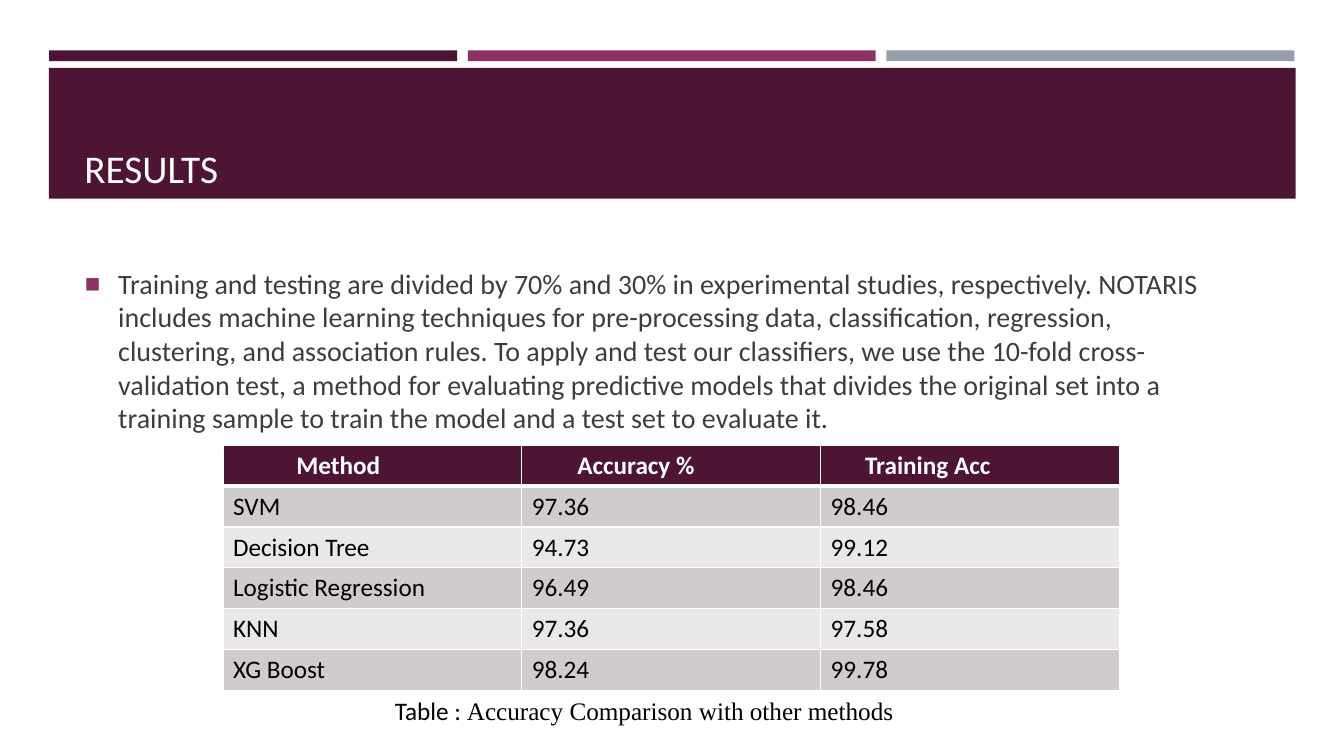
from lxml import etree
from pptx import Presentation, util as u
from pptx.dml.color import RGBColor
from pptx.enum import shapes, text
from pptx.oxml.ns import qn

COLORS = {
    "plum": "4D1434", "magenta": "903163", "gray": "969FA7",
    "white": "FFFFFF", "black": "000000", "body": "3D3D3D",
    "row_dark": "D0CCCE", "row_light": "E9E7E8",
}
BODY = (
    "Training and testing are divided by 70% and 30% in experimental studies, "
    "respectively. NOTARIS includes machine learning techniques for pre-processing "
    "data, classification, regression, clustering, and association rules. To apply "
    "and test our classifiers, we use the 10-fold cross-validation test, a method for "
    "evaluating predictive models that divides the original set into a training "
    "sample to train the model and a test set to evaluate it."
)
RESULTS = [
    ("Method", "Accuracy %", "Training Acc"),
    ("SVM", "97.36", "98.46"),
    ("Decision Tree", "94.73", "99.12"),
    ("Logistic Regression", "96.49", "98.46"),
    ("KNN", "97.36", "97.58"),
    ("XG Boost", "98.24", "99.78"),
]
HEADER_INDENTS = (1.85, 1.4, 1.12)
COL_WIDTH, ROW_HEIGHT = 7.53, 1.03


def rgb(name):
    return RGBColor.from_string(COLORS[name])


def box(*lengths):
    return [u.Cm(n) for n in lengths]


def add_run(p, content, color, **formats):
    r = p.add_run()
    r.text = content
    r.font.color.rgb = rgb(color)
    for name, value in {"name": "Calibri", "size": u.Pt(18), **formats}.items():
        setattr(r.font, name, value)


def add_bar(slide, color, *at):
    sp = slide.shapes.add_shape(shapes.MSO_SHAPE.RECTANGLE, *box(*at))
    sp.shadow.inherit = False
    sp.fill.solid()
    sp.fill.fore_color.rgb = rgb(color)
    sp.line.fill.background()


def add_text(slide, at, anchor=text.MSO_ANCHOR.TOP):
    tf = slide.shapes.add_textbox(*box(*at)).text_frame
    tf.word_wrap = True
    tf.vertical_anchor = anchor
    return tf.paragraphs[0]


def add_bullet(p, color):
    pPr = p._p.get_or_add_pPr()
    pPr.set("marL", str(u.Cm(0.84)))
    pPr.set("indent", str(u.Cm(-0.84)))
    bu_clr = etree.SubElement(pPr, qn("a:buClr"))
    etree.SubElement(bu_clr, qn("a:srgbClr"), val=COLORS[color])
    etree.SubElement(pPr, qn("a:buSzPct"), val="92000")
    etree.SubElement(pPr, qn("a:buFont"), typeface="Arial")
    etree.SubElement(pPr, qn("a:buChar"), char="■")


def set_borders(cell, bottom, top):
    tcPr = cell._tc.get_or_add_tcPr()
    widths = {"a:lnL": 1, "a:lnR": 1, "a:lnT": top, "a:lnB": bottom}
    for i, (tag, width) in enumerate(widths.items()):
        ln = etree.Element(qn(tag), w=str(u.Pt(width)))
        fill = etree.SubElement(ln, qn("a:solidFill"))
        etree.SubElement(fill, qn("a:srgbClr"), val=COLORS["white"])
        tcPr.insert(i, ln)


def add_results_table(slide, left, top):
    rows, cols = len(RESULTS), len(RESULTS[0])
    size = box(left, top, cols * COL_WIDTH, rows * ROW_HEIGHT)
    table = slide.shapes.add_table(rows, cols, *size).table
    for i, values in enumerate(RESULTS):
        header = i == 0
        fill = "plum" if header else ("row_light", "row_dark")[i % 2]
        for j, value in enumerate(values):
            cell = table.cell(i, j)
            cell.fill.solid()
            cell.fill.fore_color.rgb = rgb(fill)
            if header:
                cell.margin_left = u.Cm(HEADER_INDENTS[j])
            add_run(cell.text_frame.paragraphs[0], value,
                    "white" if header else "black", bold=header)
            set_borders(cell, bottom=3 if header else 1, top=3 if i == 1 else 1)


def main():
    prs = Presentation()
    prs.slide_width, prs.slide_height = box(33.87, 19.05)
    slide = prs.slides.add_slide(prs.slide_layouts[6])

    # Top bars and title band
    for i, color in enumerate(("plum", "magenta", "gray")):
        add_bar(slide, color, 1.24 + i * 10.55, 1.27, 10.28, 0.27)
    add_bar(slide, "plum", 1.23, 1.71, 31.42, 3.3)

    # Title
    p = add_text(slide, (1.88, 3.0, 7.5, 1.96), text.MSO_ANCHOR.BOTTOM)
    add_run(p, "RESULTS", "white", size=u.Pt(28))

    # Explanation
    p = add_text(slide, (1.89, 6.48, 28.78, 4.7), text.MSO_ANCHOR.MIDDLE)
    add_bullet(p, "magenta")
    add_run(p, BODY, "body", size=u.Pt(20))

    # Table and caption
    add_results_table(slide, 5.62, 11.22)
    p = add_text(slide, (9.7, 17.4, 15.9, 1.02))
    add_run(p, "Table : ", "black")
    add_run(p, "Accuracy Comparison with other methods", "black",
            name="Times New Roman")

    prs.save("out.pptx")


if __name__ == "__main__":
    main()
